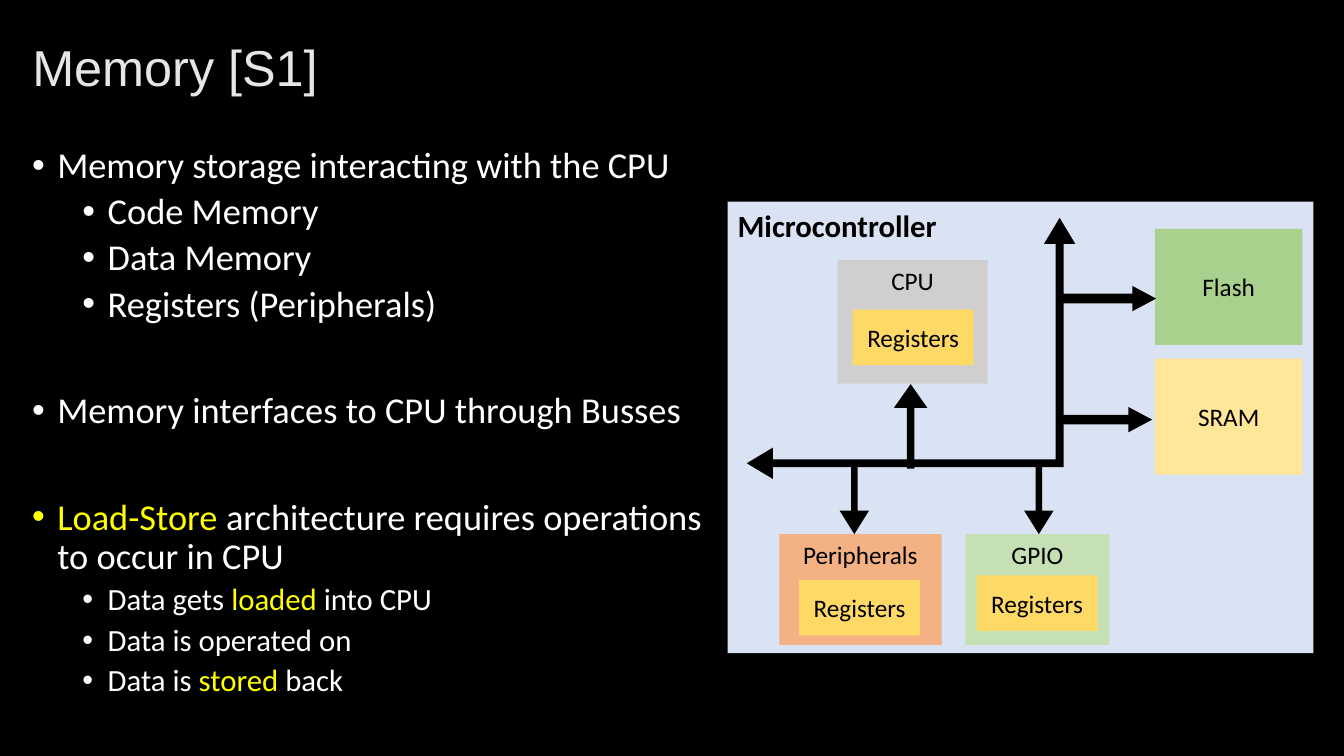
from lxml import etree
from pptx import Presentation
from pptx.dml.color import RGBColor
from pptx.enum.shapes import MSO_SHAPE
from pptx.enum.text import MSO_ANCHOR, MSO_AUTO_SIZE, PP_ALIGN
from pptx.oxml.ns import qn
from pptx.util import Cm, Pt

RECT = MSO_SHAPE.RECTANGLE
UP_ARROW = MSO_SHAPE.UP_ARROW
LEFT_UP_ARROW = MSO_SHAPE.LEFT_UP_ARROW
TOP, MIDDLE = MSO_ANCHOR.TOP, MSO_ANCHOR.MIDDLE
LEFT, CENTER = PP_ALIGN.LEFT, PP_ALIGN.CENTER
NO_FIT = MSO_AUTO_SIZE.NONE

BLACK, WHITE, YELLOW = "000000", "FFFFFF", "FFFF00"
REGISTER_FILL = "FFD966"

BULLETS = [
    (0, 26, 0, [("Memory storage interacting with the CPU", WHITE)]),
    (1, 26, 5, [("Code Memory", WHITE)]),
    (1, 26, 5, [("Data Memory", WHITE)]),
    (1, 26, 5, [("Registers (Peripherals)", WHITE)]),
    (0, 26, 48, [("Memory interfaces to CPU through Busses", WHITE)]),
    (0, 26, 48, [("Load-Store", YELLOW),
                 (" architecture requires operations to occur in CPU", WHITE)]),
    (1, 22, 5, [("Data gets ", WHITE), ("loaded", YELLOW), (" into CPU", WHITE)]),
    (1, 22, 5, [("Data is operated on", WHITE)]),
    (1, 22, 5, [("Data is ", WHITE), ("stored", YELLOW), (" back", WHITE)]),
]

BLOCKS = [
    ("GPIO", 5.99, 8.38, 3.63, 2.79, "C5E0B4", TOP),
    ("Flash", 10.77, 0.69, 3.71, 2.92, "A9D18E", MIDDLE),
    ("SRAM", 10.77, 3.96, 3.71, 2.92, "FFE699", MIDDLE),
    ("CPU", 2.77, 1.47, 3.78, 3.12, "D0CECE", TOP),
    ("Peripherals", 1.3, 8.38, 4.09, 2.79, "F4B183", TOP),
]

BUS_ARROWS = [
    (LEFT_UP_ARROW, 0.48, 0.41, 8.28, 6.58, 0, (0.03, 0.06, 0.1)),
    (UP_ARROW, 4.19, 4.6, 0.84, 2.13, 0, (0.22, 0.71)),
    (UP_ARROW, 7.47, 6.68, 0.74, 1.7, 180, (0.22, 0.8)),
    (UP_ARROW, 2.82, 6.68, 0.74, 1.7, 180, (0.22, 0.8)),
    (UP_ARROW, 9.27, 1.24, 0.64, 2.41, 90, (0.38, 0.94)),
    (UP_ARROW, 9.17, 4.29, 0.64, 2.41, 90, (0.38, 0.94)),
]

REGISTERS = [(6.27, 9.42), (3.15, 2.72), (1.8, 9.53)]


def rgb(color):
    return RGBColor.from_string(color)


def add_run(p, text, size, color, font="Calibri", bold=False):
    r = p.add_run()
    r.text = text
    r.font.name = font
    r.font.size = Pt(size)
    r.font.bold = bold
    r.font.color.rgb = rgb(color)


def add_shape(s, kind, x, y, w, h, fill):
    sp = s.shapes.add_shape(kind, Cm(x), Cm(y), Cm(w), Cm(h))
    sp.shadow.inherit = False
    sp.fill.solid()
    sp.fill.fore_color.rgb = rgb(fill)
    sp.line.fill.background()
    return sp


def add_block(s, text, x, y, w, h, fill, anchor=MIDDLE, align=CENTER, size=18, bold=False):
    sp = add_shape(s, RECT, x, y, w, h, fill)
    tf = sp.text_frame
    tf.vertical_anchor = anchor
    p = tf.paragraphs[0]
    p.alignment = align
    add_run(p, text, size, BLACK, bold=bold)


def set_bullet(p, level):
    pPr = p._p.get_or_add_pPr()
    pPr.set("marL", str(Cm(0.635 + 1.27 * level)))
    pPr.set("indent", str(-Cm(0.635)))
    etree.SubElement(pPr, qn("a:buFont")).set("typeface", "Arial")
    etree.SubElement(pPr, qn("a:buChar")).set("char", "•")


def build_title(s, x, y, w, h):
    sp = s.shapes.title
    sp.left, sp.top, sp.width, sp.height = Cm(x), Cm(y), Cm(w), Cm(h)
    tf = sp.text_frame
    tf.auto_size = NO_FIT
    tf.vertical_anchor = MIDDLE
    p = tf.paragraphs[0]
    p.alignment = LEFT
    p.line_spacing = 0.9
    add_run(p, "Memory [S1]", 36, "E7E6E6", font="Arial")


def build_bullets(s, x, y, w, h):
    tf = s.shapes.add_textbox(Cm(x), Cm(y), Cm(w), Cm(h)).text_frame
    tf.word_wrap = True
    for i, (level, size, before, runs) in enumerate(BULLETS):
        p = tf.add_paragraph() if i else tf.paragraphs[0]
        set_bullet(p, level)
        p.level = level
        p.line_spacing = 0.9
        p.space_before = Pt(before)
        for text, color in runs:
            add_run(p, text, size, color)


def build_diagram(s, x, y, w, h):
    add_block(s, "Microcontroller", x, y, w, h, "DAE3F3", TOP, LEFT, 22, True)
    for text, dx, dy, bw, bh, fill, anchor in BLOCKS:
        add_block(s, text, x + dx, y + dy, bw, bh, fill, anchor)
    for kind, dx, dy, aw, ah, rotation, adjustments in BUS_ARROWS:
        sp = add_shape(s, kind, x + dx, y + dy, aw, ah, BLACK)
        sp.rotation = rotation
        for i, value in enumerate(adjustments):
            sp.adjustments[i] = value
    for dx, dy in REGISTERS:
        add_block(s, "Registers", x + dx, y + dy, 3.05, 1.4, REGISTER_FILL)


def main():
    prs = Presentation()
    prs.slide_width, prs.slide_height = Cm(33.87), Cm(19.05)
    s = prs.slides.add_slide(prs.slide_layouts[5])
    s.background.fill.solid()
    s.background.fill.fore_color.rgb = rgb(BLACK)
    build_title(s, 0.56, 0.53, 32.74, 2.46)
    build_diagram(s, 18.34, 5.08, 14.76, 11.38)
    build_bullets(s, 0.56, 3.58, 17.63, 14.38)
    prs.save("out.pptx")


if __name__ == "__main__":
    main()
